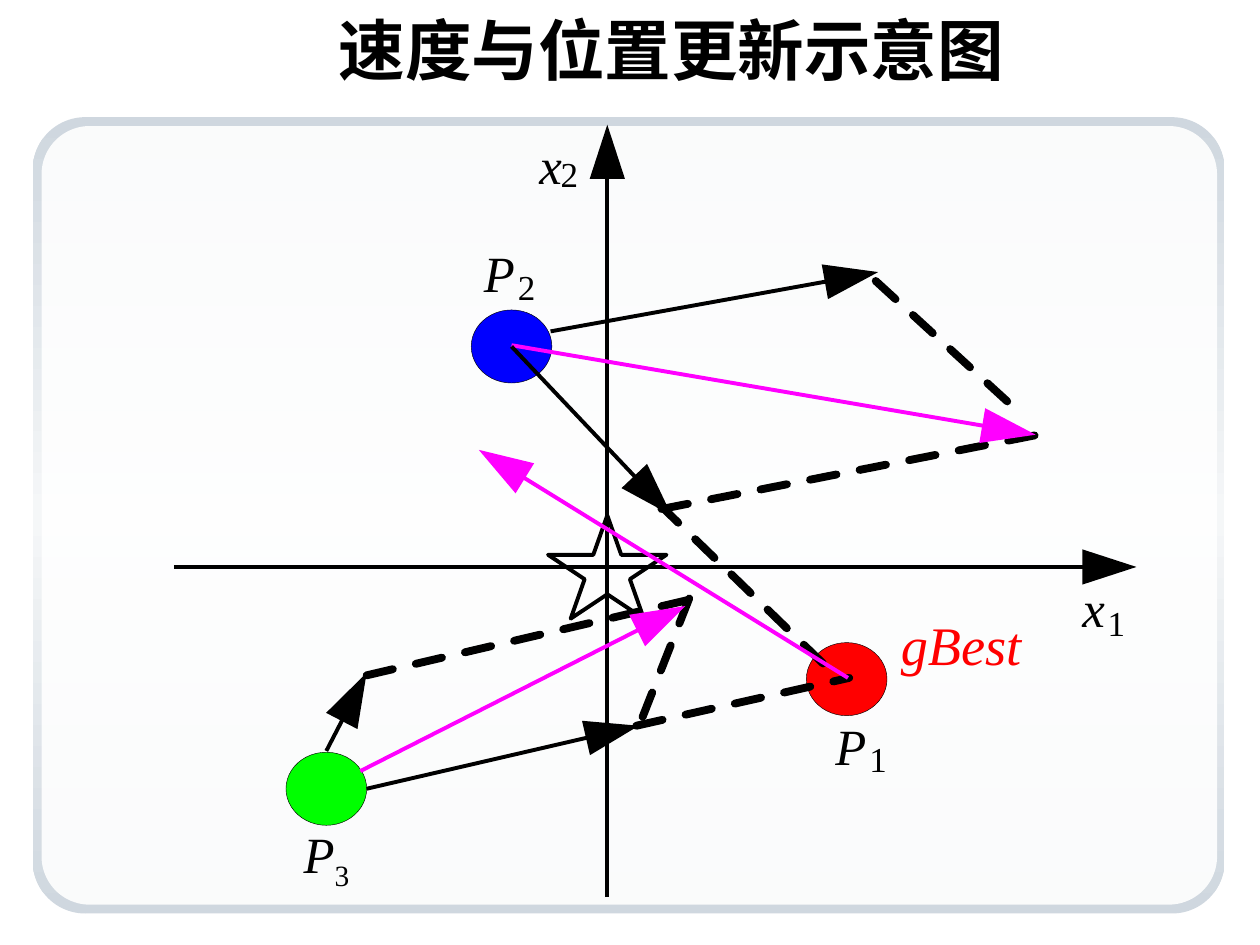
from math import hypot

from lxml import etree
from pptx import Presentation
from pptx.dml.color import RGBColor
from pptx.enum.shapes import MSO_CONNECTOR, MSO_SHAPE
from pptx.enum.text import MSO_ANCHOR, PP_ALIGN
from pptx.oxml import parse_xml
from pptx.oxml.ns import nsdecls, qn
from pptx.util import Inches, Pt

BLACK = RGBColor(0x00, 0x00, 0x00)
WHITE = RGBColor(0xFF, 0xFF, 0xFF)
RED = RGBColor(0xFF, 0x00, 0x00)
GREEN = RGBColor(0x00, 0xFF, 0x00)
BLUE = RGBColor(0x00, 0x00, 0xFF)
MAGENTA = RGBColor(0xFF, 0x00, 0xFF)

# Content, in inches
TITLE = "速度与位置更新示意图"
PARTICLES = [(6.72, 5.39, RED), (4.06, 2.75, BLUE), (2.59, 6.26, GREEN)]  # centres
AXES = [((1.38, 4.5), (9.02, 4.5), BLACK), ((4.82, 7.12), (4.82, 0.99), BLACK)]
DASHES = [
    ((5.47, 4.75), (5.1, 5.69)),
    ((2.91, 5.36), (5.47, 4.76)),
    ((6.95, 2.23), (8.01, 3.2)),
    ((5.25, 4.04), (8.24, 3.45)),
    ((5.23, 4), (6.66, 5.39)),
    ((5.05, 5.76), (6.74, 5.38)),
]
ARROWS = [  # tail, tip, colour
    ((2.59, 5.96), (2.91, 5.34), BLACK),
    ((2.86, 6.12), (5.44, 4.81), MAGENTA),
    ((4.37, 2.63), (6.97, 2.16), BLACK),
    ((4.06, 2.74), (8.22, 3.45), MAGENTA),
    ((4.06, 2.75), (5.33, 4.09), BLACK),
    ((2.91, 6.26), (5.07, 5.76), BLACK),
    ((6.73, 5.38), (3.8, 3.57), MAGENTA),
]
LABELS = [  # left, top, width, height, text, size, italic, colour
    (8.59, 4.58, 0.18, 0.48, "x", 29, True, BLACK),
    (8.79, 4.77, 0.14, 0.33, "1", 20, False, BLACK),
    (4.28, 1.06, 0.18, 0.48, "x", 29, True, BLACK),
    (4.45, 1.21, 0.14, 0.33, "2", 20, False, BLACK),
    (6.63, 5.67, 0.25, 0.48, "P", 29, True, BLACK),
    (6.9, 5.85, 0.14, 0.33, "1", 20, False, BLACK),
    (3.84, 1.92, 0.25, 0.48, "P", 29, True, BLACK),
    (4.11, 2.11, 0.14, 0.33, "2", 20, False, BLACK),
    (7.15, 4.85, 0.96, 0.52, "gBest", 31, True, RED),
]
P3_LABEL = (2.41, 6.53, 0.42, 0.55, "P", 29, True, BLACK)
PANEL_STOPS = [(0, "CFD7DF"), (50, "F5F7F8"), (100, "CFD7DF")]
HEAD_LENGTH, HEAD_WIDTH = 0.43, 0.28

prs = Presentation()
prs.slide_width, prs.slide_height = Inches(10), Inches(7.5)
s = prs.slides.add_slide(prs.slide_layouts[5])


def add_shape(kind, *box):
    sp = s.shapes.add_shape(kind, *map(Inches, box))
    sp.shadow.inherit = False
    return sp


def add_line(start, end, color, width):
    ln = s.shapes.add_connector(
        MSO_CONNECTOR.STRAIGHT, *map(Inches, (*start, *end)))
    ln.line.color.rgb = color
    ln.line.width = Pt(width)
    etree.SubElement(ln._element.spPr, qn("a:effectLst"))
    return ln


def add_arrow(tail, tip, color):
    """Shaft that ends at the base of a long filled head."""
    dx, dy = tip[0] - tail[0], tip[1] - tail[1]
    length = hypot(dx, dy)
    ux, uy = dx / length, dy / length
    bx, by = tip[0] - ux * HEAD_LENGTH, tip[1] - uy * HEAD_LENGTH
    add_line(tail, (bx + ux * 0.04, by + uy * 0.04), color, 2.25)
    half = HEAD_WIDTH / 2
    corners = [(bx - uy * half, by + ux * half), (bx + uy * half, by - ux * half)]
    fb = s.shapes.build_freeform(Inches(tip[0]), Inches(tip[1]))
    fb.add_line_segments([(Inches(x), Inches(y)) for x, y in corners], close=True)
    head = fb.convert_to_shape()
    head.shadow.inherit = False
    head.fill.solid()
    head.fill.fore_color.rgb = color
    head.line.fill.background()


def style_run(r, size, italic, color):
    r.font.name = "Times New Roman"
    r.font.size = Pt(size)
    r.font.italic = italic
    r.font.color.rgb = color


def add_label(left, top, width, height, text, size, italic, color):
    tb = s.shapes.add_textbox(*map(Inches, (left, top, width, height)))
    tf = tb.text_frame
    tf.margin_left = tf.margin_right = tf.margin_top = tf.margin_bottom = 0
    tf.word_wrap = False
    tf.text = text
    style_run(tf.paragraphs[0].runs[0], size, italic, color)
    return tf.paragraphs[0]


# Framed panel: gradient rim under a translucent white sheet
rim = add_shape(MSO_SHAPE.ROUNDED_RECTANGLE, 0.26, 0.93, 9.46, 6.32)
rim.adjustments[0] = 0.066
rim.line.fill.background()
stops = "".join(f'<a:gs pos="{pos * 1000}"><a:srgbClr val="{color}"/></a:gs>'
                for pos, color in PANEL_STOPS)
rim._element.spPr.find(qn("a:prstGeom")).addnext(parse_xml(
    f'<a:gradFill {nsdecls("a")} rotWithShape="1"><a:gsLst>{stops}</a:gsLst>'
    '<a:lin ang="5400000" scaled="0"/></a:gradFill>'))
sheet = add_shape(MSO_SHAPE.ROUNDED_RECTANGLE, 0.33, 1, 9.33, 6.18)
sheet.adjustments[0] = 0.062
sheet.line.fill.background()
sheet.fill.solid()
sheet.fill.fore_color.rgb = WHITE
white = sheet._element.spPr.find(qn("a:solidFill"))[0]
etree.SubElement(white, qn("a:alpha")).set("val", "90000")

# Title
title = s.shapes.title
title.left, title.top, title.width, title.height = map(Inches, (0.33, 0.08, 10, 0.62))
tf = title.text_frame
tf.text = TITLE
tf.vertical_anchor = MSO_ANCHOR.MIDDLE
p = tf.paragraphs[0]
p.alignment = PP_ALIGN.CENTER
font = p.runs[0].font
font.name, font.size, font.bold = "Arial", Pt(38), True
font.color.rgb = BLACK

# Axes and the optimum at their crossing
for axis in AXES:
    add_arrow(*axis)
star = add_shape(MSO_SHAPE.STAR_5_POINT, 4.35, 4.09, 0.94, 0.82)
star.fill.background()
star.line.color.rgb = BLACK
star.line.width = Pt(2.25)

# Particles
for cx, cy, color in PARTICLES:
    dot = add_shape(MSO_SHAPE.OVAL, cx - 0.32, cy - 0.29, 0.64, 0.58)
    dot.fill.solid()
    dot.fill.fore_color.rgb = color
    dot.line.color.rgb = BLACK
    dot.line.width = Pt(0.25)

# Dashed construction lines, then velocity arrows
for start, end in DASHES:
    ln = add_line(start, end, BLACK, 4.5)._element.spPr.find(qn("a:ln"))
    ln.set("cap", "rnd")
    ln.find(qn("a:solidFill")).addnext(parse_xml(
        f'<a:custDash {nsdecls("a")}><a:ds d="440000" sp="200000"/></a:custDash>'))
for arrow in ARROWS:
    add_arrow(*arrow)

# Labels; P3 carries its index as a subscript run
for label in LABELS:
    add_label(*label)
r = add_label(*P3_LABEL).add_run()
r.text = "3"
style_run(r, 29, False, BLACK)
r.font._element.set("baseline", "-25000")

prs.save("out.pptx")
